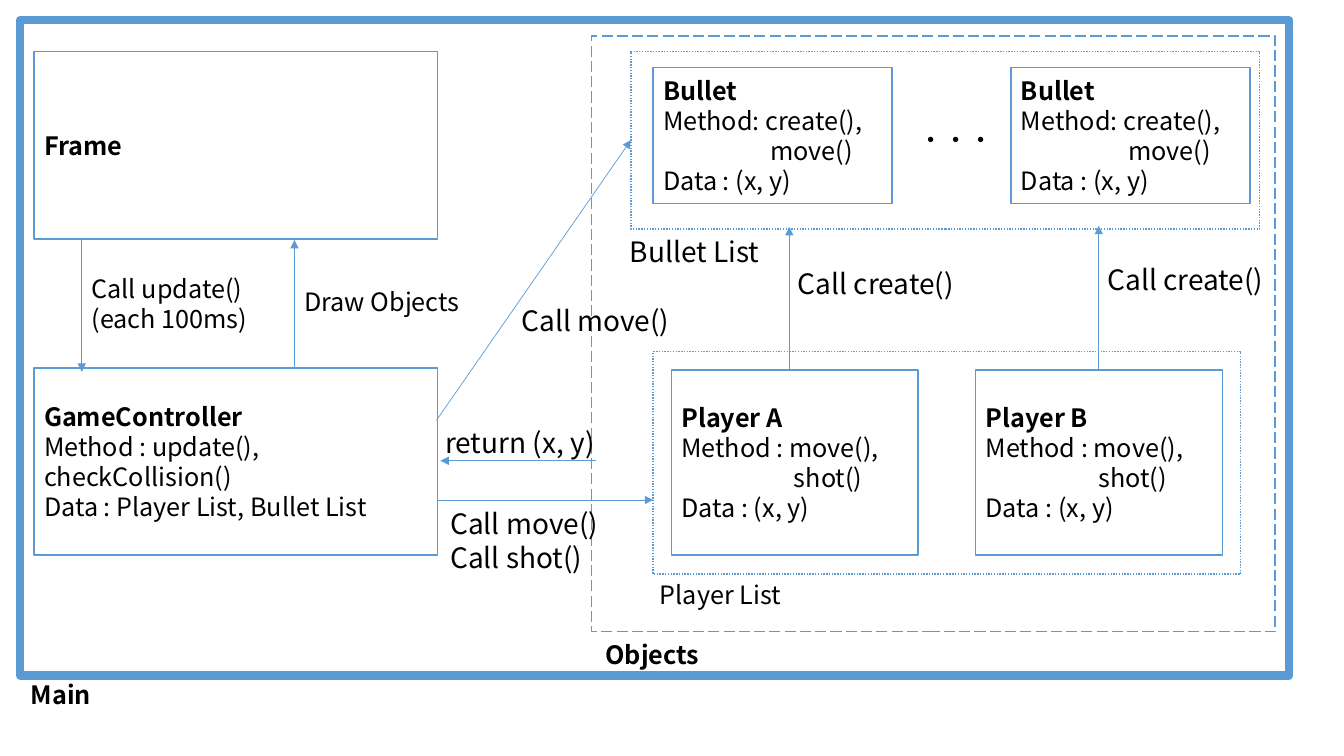
"""Build the object diagram of a two-player shooting game."""
from dataclasses import dataclass

from pptx import Presentation
from pptx import util as u
from pptx.dml.color import RGBColor
from pptx.enum import dml, shapes, text
from pptx.oxml import parse_xml
from pptx.oxml.ns import nsdecls, qn


@dataclass(frozen=True)
class Theme:
    font: str = "Noto Sans CJK JP"
    line: RGBColor = RGBColor(0x5B, 0x9B, 0xD5)
    fill: RGBColor = RGBColor(0xFF, 0xFF, 0xFF)
    ink: RGBColor = RGBColor(0, 0, 0)
    body: int = 18
    call: int = 20
    thin: float = 0.5
    border: float = 1
    outer: float = 6


@dataclass(frozen=True)
class Area:
    x: float
    y: float
    w: float
    h: float
    weight: float
    dash: dml.MSO_LINE | None = None


@dataclass(frozen=True)
class Box:
    x: float
    y: float
    w: float
    h: float
    name: str
    members: tuple[str, ...] = ()
    tab: float = 0


@dataclass(frozen=True)
class Label:
    x: float
    y: float
    w: float
    h: float
    words: str
    size: int
    bold: bool = False


@dataclass(frozen=True)
class Arrow:
    x1: float
    y1: float
    x2: float
    y2: float


T = Theme()

AREAS = [
    Area(0.51, 0.51, 31.98, 16.51, T.outer),
    Area(14.91, 0.91, 17.22, 15.01, T.border, dml.MSO_LINE.LONG_DASH),
    Area(15.9, 1.3, 15.85, 4.47, T.border, dml.MSO_LINE.ROUND_DOT),
    Area(16.46, 8.86, 14.81, 5.61, T.border, dml.MSO_LINE.ROUND_DOT),
]

DATA = "Data : (x, y)"
BOXES = [
    Box(0.86, 1.3, 10.16, 4.72, "Frame"),
    Box(0.86, 9.27, 10.16, 4.72, "GameController",
        ("Method : update(),\ncheckCollision()", "Data : Player List, Bullet List")),
    *(Box(x, 1.7, 6.02, 3.43, "Bullet", ("Method: create(),\n\tmove()", DATA), 2.7)
      for x in (16.46, 25.48)),
    *(Box(x, 9.32, 6.22, 4.67, name, ("Method : move(),\n\tshot()", DATA), 2.84)
      for x, name in ((16.92, "Player A"), (24.59, "Player B"))),
]

ARROWS = [
    Arrow(2.06, 6.02, 2.06, 9.37),
    Arrow(7.42, 9.25, 7.42, 6.05),
    Arrow(11, 10.59, 15.9, 3.53),
    Arrow(15.01, 11.61, 11.1, 11.61),
    Arrow(11.02, 12.6, 16.46, 12.6),
    Arrow(19.89, 9.35, 19.89, 5.72),
    Arrow(27.69, 9.32, 27.69, 5.69),
]

LABELS = [
    Label(22.89, 3.02, 2.44, 1.02, "・・・", T.body),
    Label(15.62, 5.79, 3.86, 1.12, "Bullet List", T.call),
    Label(16.38, 14.48, 3.66, 1.02, "Player List", T.body),
    Label(2.06, 6.76, 4.55, 1.8, "Call update()\n(each 100ms)", T.body),
    Label(7.42, 7.09, 4.52, 1.02, "Draw Objects", T.body),
    Label(12.9, 7.52, 4.29, 1.12, "Call move()", T.call),
    Label(10.97, 10.59, 4.34, 1.12, "return (x, y)", T.call),
    Label(11.1, 12.65, 4.29, 1.96, "Call move()\nCall shot()", T.call),
    Label(19.86, 6.6, 4.8, 1.12, "Call create()", T.call),
    Label(27.66, 6.48, 4.8, 1.12, "Call create()", T.call),
    Label(15.01, 15.98, 2.92, 1.02, "Objects", T.body, True),
    Label(0.53, 16.99, 2.08, 1.02, "Main", T.body, True),
]


def write(p, words: str, size: int, bold: bool = False) -> None:
    p.alignment = text.PP_ALIGN.LEFT
    for i, line in enumerate(words.split("\n")):
        if i:
            p.add_line_break()
        r = p.add_run()
        r.text = line
        r.font.name = T.font
        r.font.size = u.Pt(size)
        r.font.bold = bold
        r.font.color.rgb = T.ink
        r.font._element.append(parse_xml(f'<a:ea {nsdecls("a")} typeface="{T.font}"/>'))


def add_rect(s, item: Area | Box, weight: float):
    sp = s.shapes.add_shape(shapes.MSO_SHAPE.RECTANGLE,
                            *map(u.Cm, (item.x, item.y, item.w, item.h)))
    sp.shadow.inherit = False
    sp.line.color.rgb = T.line
    sp.line.width = u.Pt(weight)
    return sp


def add_area(s, area: Area) -> None:
    sp = add_rect(s, area, area.weight)
    sp.fill.background()
    if area.dash is not None:
        sp.line.dash_style = area.dash


def add_box(s, box: Box) -> None:
    sp = add_rect(s, box, T.border)
    sp.fill.solid()
    sp.fill.fore_color.rgb = T.fill
    tf = sp.text_frame
    tf.word_wrap = True
    tf.vertical_anchor = text.MSO_ANCHOR.MIDDLE
    write(tf.paragraphs[0], box.name, T.body, True)
    for member in box.members:
        p = tf.add_paragraph()
        write(p, member, T.body)
        if "\t" in member:
            p._p.get_or_add_pPr().append(parse_xml(
                f'<a:tabLst {nsdecls("a")}><a:tab pos="{u.Cm(box.tab)}" algn="l"/></a:tabLst>'))


def add_arrow(s, arrow: Arrow) -> None:
    sp = s.shapes.add_connector(shapes.MSO_CONNECTOR.STRAIGHT,
                                *map(u.Cm, (arrow.x1, arrow.y1, arrow.x2, arrow.y2)))
    sp.line.color.rgb = T.line
    sp.line.width = u.Pt(T.thin)
    sp.line._get_or_add_ln().append(parse_xml(f'<a:tailEnd {nsdecls("a")} type="triangle"/>'))
    sp._element.spPr.append(sp._element.makeelement(qn("a:effectLst")))


def add_label(s, label: Label) -> None:
    sp = s.shapes.add_textbox(*map(u.Cm, (label.x, label.y, label.w, label.h)))
    tf = sp.text_frame
    tf.word_wrap = False
    tf.auto_size = text.MSO_AUTO_SIZE.SHAPE_TO_FIT_TEXT
    write(tf.paragraphs[0], label.words, label.size, label.bold)


def main() -> None:
    prs = Presentation()
    prs.slide_width, prs.slide_height = u.Cm(33.87), u.Cm(19.05)
    s = prs.slides.add_slide(prs.slide_layouts[6])
    for items, draw in ((AREAS, add_area), (BOXES, add_box),
                        (ARROWS, add_arrow), (LABELS, add_label)):
        for item in items:
            draw(s, item)
    prs.save("out.pptx")


if __name__ == "__main__":
    main()
